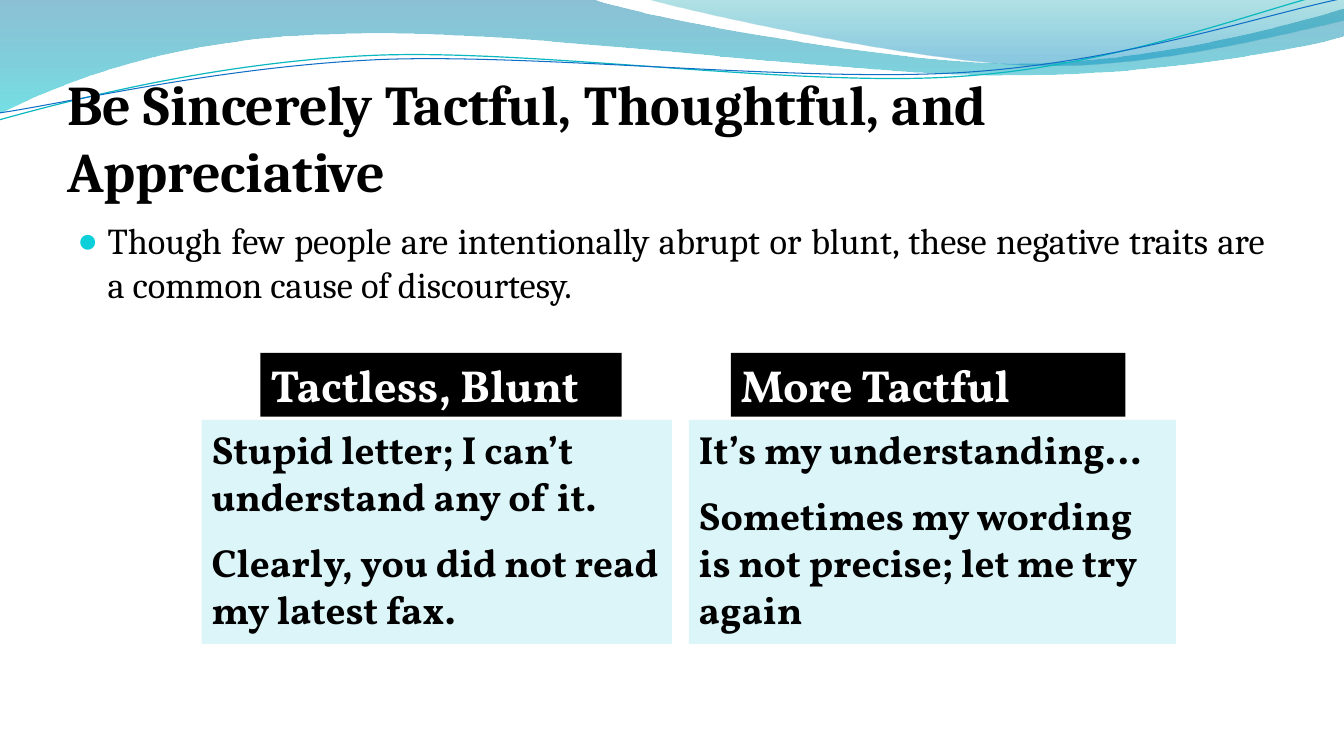
from dataclasses import dataclass
from math import cos, radians, sin

from lxml import etree
from pptx import Presentation
from pptx.dml.color import RGBColor
from pptx.enum.shapes import MSO_SHAPE
from pptx.enum.text import MSO_ANCHOR, MSO_AUTO_SIZE, PP_ALIGN
from pptx.oxml.ns import qn
from pptx.shapes.autoshape import Shape
from pptx.slide import Slide
from pptx.text.text import TextFrame, _Paragraph
from pptx.util import Pt

RECTANGLE = MSO_SHAPE.RECTANGLE
TOP, BOTTOM = MSO_ANCHOR.TOP, MSO_ANCHOR.BOTTOM
LEFT, JUSTIFY = PP_ALIGN.LEFT, PP_ALIGN.JUSTIFY
NO_FIT, GROW = MSO_AUTO_SIZE.NONE, MSO_AUTO_SIZE.SHAPE_TO_FIT_TEXT

COLOURS = {
    "black": "000000",
    "white": "FFFFFF",
    "pale": "DBF5F9",
    "bullet": "0BD0D9",
    "teal_line": "0AB8BF",
    "blue_line": "0F6FC6",
    "deep_blue": "0074A1",
    "aqua": "00C6CF",
    "teal": "00A1A9",
    "sky": "008BBF",
}


@dataclass
class Stop:
    position: float
    colour: str
    opacity: int


@dataclass
class Wave:
    start: tuple[float, float]
    segments: list[tuple[float, ...]]
    stops: tuple[Stop, ...] = ()
    line_colour: str = ""
    line_width: float = 0
    tilt: float = 0
    centre: tuple[float, float] = (0, 0)


@dataclass
class Panel:
    left: float
    top: float
    width: float
    height: float
    fill: str
    text_colour: str
    size: float
    text: str


WAVES = [
    Wave((0, 0), [
        (422.6, -0.7),
        (456.5, 12.2, 637.2, 45.4, 727.9, 45.4),
        (819.4, 45.4, 920.2, 18.7, 959.8, 6.5),
        (961.2, 25.9),
        (943.9, 31.7, 835.2, 54.7, 715.7, 54),
        (596.9, 54, 366.5, 20.2, 247, 24.5),
        (123.1, 25.9, 43.9, 59.8, -0.7, 81.4),
        (0, 0),
    ], stops=(Stop(0, "deep_blue", 45), Stop(1, "aqua", 55))),
    Wave((460.1, -0.7), [
        (488.9, 7.9, 654.5, 44.6, 738, 46.8),
        (821.5, 49.7, 923, 23, 959.8, 15.1),
        (959.8, 0),
        (460.1, -0.7),
    ], stops=(Stop(0, "teal", 30), Stop(0.8, "sky", 45))),
    Wave((-0.7, 85.7), [
        (46.1, 72.7, 151.9, 44.6, 265.7, 39.6),
        (379.4, 34.6, 568.8, 62.6, 684, 54.7),
        (799.2, 47.5, 901.4, 5.8, 958.3, -7.2),
    ], line_colour="teal_line", line_width=0.85, tilt=-2.7, centre=(478.8, 41.4)),
    Wave((0, 80.6), [
        (45.4, 74.2, 157, 47.5, 272.2, 42.5),
        (386.6, 38.2, 568.8, 59, 687.6, 51.8),
        (802.8, 44.6, 903.6, 10.1, 960.5, -1.4),
    ], line_colour="blue_line", line_width=0.75, tilt=-2.7, centre=(480.2, 42.5)),
]

PANELS = [
    Panel(186, 252, 258, 45.6, "black", "white", 32, "Tactless, Blunt"),
    Panel(144, 300, 336, 160, "pale", "black", 28,
          "Stupid letter; I can’t understand any of it.\n"
          "Clearly, you did not read my latest fax."),
    Panel(522, 252, 282, 45.6, "black", "white", 32, "More Tactful"),
    Panel(492, 300, 348, 160, "pale", "black", 28,
          "It’s my understanding…\n"
          "Sometimes my wording is not precise; let me try again"),
]


def rgb(name: str) -> RGBColor:
    return RGBColor.from_string(COLOURS[name])


def level_point(wave: Wave, x: float, y: float) -> tuple[int, int]:
    angle = radians(-wave.tilt)
    middle_x, middle_y = wave.centre
    dx, dy = x - middle_x, y - middle_y
    return (Pt(middle_x + dx * cos(angle) - dy * sin(angle)),
            Pt(middle_y + dx * sin(angle) + dy * cos(angle)))


def bend_segments(shape: Shape, wave: Wave) -> None:
    lines = list(shape._element.spPr.iter(qn("a:lnTo")))
    for segment in wave.segments:
        first, *others = lines[:len(segment) // 2]
        lines = lines[len(segment) // 2:]
        if others:
            first.tag = qn("a:cubicBezTo")
            for other in others:
                first.append(other[0])
                other.getparent().remove(other)


def fill_gradient(shape: Shape, stops: tuple[Stop, ...]) -> None:
    shape.fill.gradient()
    shape.fill.gradient_angle = 270
    for target, stop in zip(shape.fill.gradient_stops, stops):
        target.position = stop.position
        target.color.rgb = rgb(stop.colour)
    for colour, stop in zip(shape._element.spPr.iter(qn("a:srgbClr")), stops):
        etree.SubElement(colour, qn("a:alpha"), val=str(stop.opacity * 1000))


def draw_wave(page: Slide, wave: Wave) -> None:
    builder = page.shapes.build_freeform(*level_point(wave, *wave.start))
    points = [level_point(wave, *segment[i:i + 2])
              for segment in wave.segments for i in range(0, len(segment), 2)]
    builder.add_line_segments(points, close=bool(wave.stops))
    shape = builder.convert_to_shape()
    bend_segments(shape, wave)
    shape.rotation = wave.tilt
    shape.shadow.inherit = False
    if wave.stops:
        fill_gradient(shape, wave.stops)
        shape.line.fill.background()
    else:
        shape.fill.background()
        shape.line.color.rgb = rgb(wave.line_colour)
        shape.line.width = Pt(wave.line_width)


def format_text(frame: TextFrame, font: str, size: float, colour: str,
                bold: bool, align: PP_ALIGN) -> None:
    frame.word_wrap = True
    for para in frame.paragraphs:
        para.alignment = align
        for span in para.runs:
            span.font.name = font
            span.font.size = Pt(size)
            span.font.bold = bold
            span.font.color.rgb = rgb(colour)


def draw_panel(page: Slide, panel: Panel) -> None:
    box = page.shapes.add_shape(RECTANGLE, Pt(panel.left), Pt(panel.top),
                                Pt(panel.width), Pt(panel.height))
    box.shadow.inherit = False
    box.fill.solid()
    box.fill.fore_color.rgb = rgb(panel.fill)
    box.line.fill.background()
    frame = box.text_frame
    frame.text = panel.text
    frame.vertical_anchor = TOP
    frame.auto_size = GROW
    format_text(frame, "Vollkorn", panel.size, panel.text_colour, True, LEFT)
    for para in frame.paragraphs[1:]:
        para.space_before = Pt(panel.size / 2)


def add_bullet(para: _Paragraph) -> None:
    properties = para._p.get_or_add_pPr()
    properties.set("marL", str(Pt(21.6)))
    properties.set("indent", str(-Pt(21.6)))
    colour = etree.SubElement(properties, qn("a:buClr"))
    etree.SubElement(colour, qn("a:srgbClr"), val=COLOURS["bullet"])
    etree.SubElement(properties, qn("a:buSzPct"), val="95000")
    etree.SubElement(properties, qn("a:buChar"), char="●")


def fill_holder(holder: Shape, top: float, height: float, text: str) -> TextFrame:
    holder.left, holder.top = Pt(48), Pt(top)
    holder.width, holder.height = Pt(864), Pt(height)
    holder.text_frame.text = text
    holder.text_frame.auto_size = NO_FIT
    return holder.text_frame


def main() -> None:
    deck = Presentation()
    deck.slide_width, deck.slide_height = Pt(960), Pt(540)
    page = deck.slides.add_slide(deck.slide_layouts[1])
    title, body = page.shapes.title, page.placeholders[1]
    for wave in WAVES:
        draw_wave(page, wave)
    for holder in (title, body):
        page.shapes._spTree.append(holder._element)

    frame = fill_holder(title, 55.5, 90, "Be Sincerely Tactful, Thoughtful, and Appreciative")
    frame.vertical_anchor = BOTTOM
    frame.margin_left = frame.margin_right = frame.margin_bottom = Pt(0)
    format_text(frame, "Cambria", 40, "black", True, LEFT)

    frame = fill_holder(body, 152.4, 345.6,
                        "Though few people are intentionally abrupt or blunt, "
                        "these negative traits are a common cause of discourtesy.")
    format_text(frame, "Cambria", 26, "black", False, JUSTIFY)
    add_bullet(frame.paragraphs[0])

    for panel in PANELS:
        draw_panel(page, panel)
    deck.save("out.pptx")


if __name__ == "__main__":
    main()
